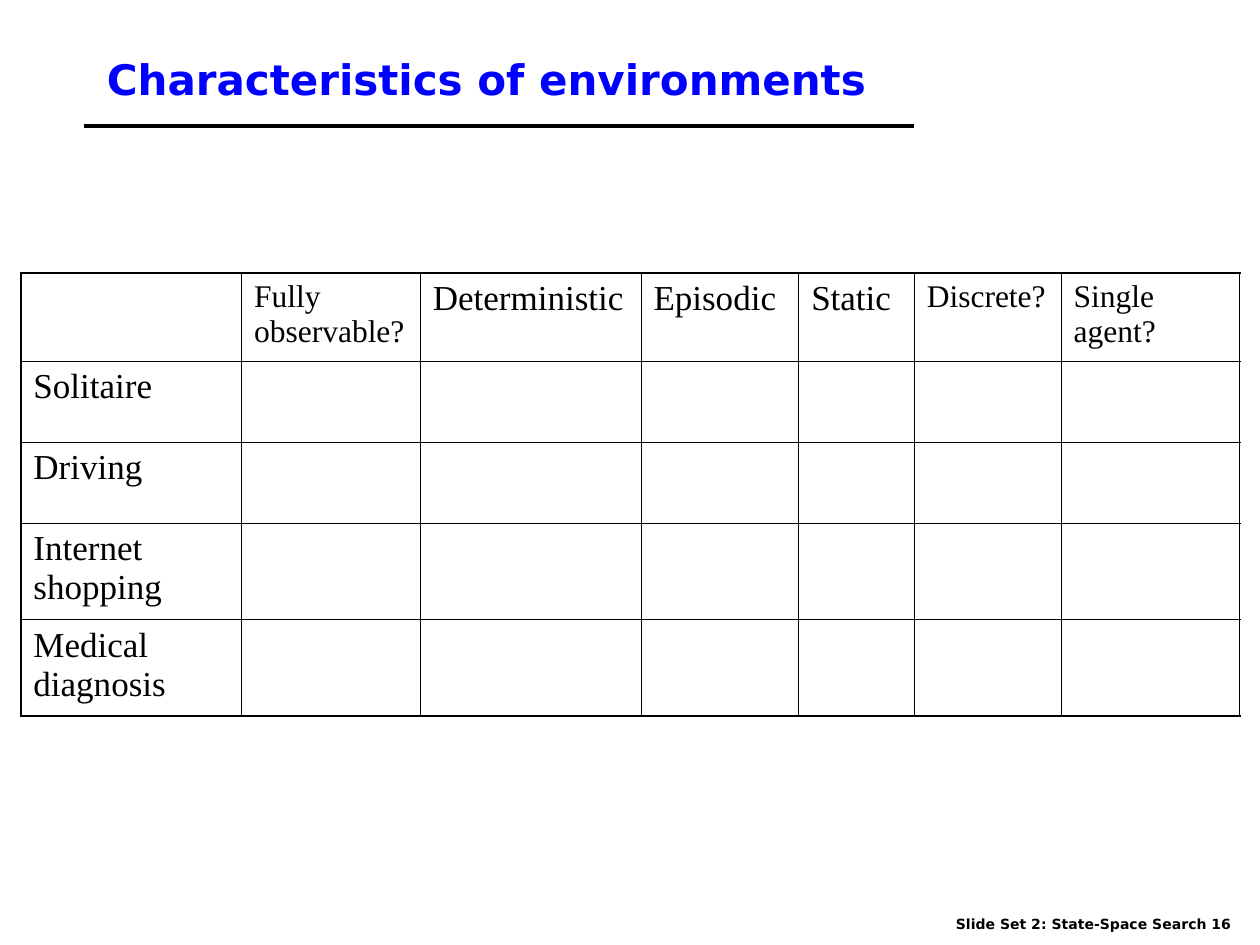
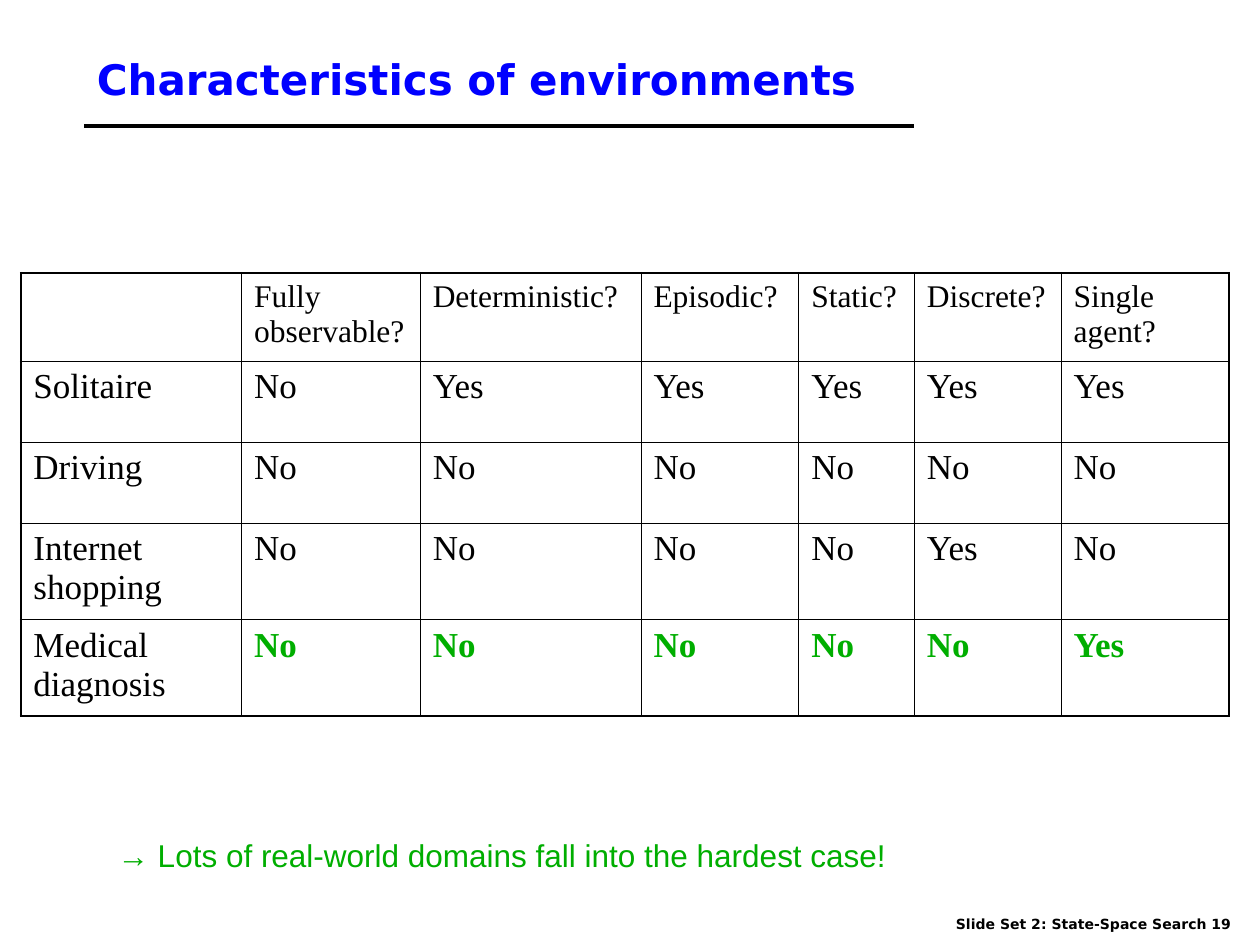
import pptx
import pptx.dml.color
import pptx.enum.shapes
import pptx.enum.text
import pptx.oxml
import pptx.oxml.ns
import pptx.util

Cm = pptx.util.Cm
Pt = pptx.util.Pt

BLACK = pptx.dml.color.RGBColor(0x00, 0x00, 0x00)
BLUE = pptx.dml.color.RGBColor(0x00, 0x00, 0xFF)
GREEN = pptx.dml.color.RGBColor(0x00, 0xAE, 0x00)
WHITE = pptx.dml.color.RGBColor(0xFF, 0xFF, 0xFF)

HEADING_FONT = "DejaVu Sans"
TABLE_FONT = "Times New Roman"
NOTE_FONT = "Arial"

TITLE = "Characteristics of environments"
DOMAINS = ["Solitaire", "Driving", "Internet shopping", "Medical diagnosis"]
COLUMN_WIDTHS = [4.45, 3.6, 4.45, 3.18, 2.33, 2.96]
ROW_HEIGHTS = [1.78, 1.63, 1.63, 1.95, 1.95]
OUTER_LINE = Pt(1.08)
INNER_LINE = Pt(0.45)


class Deck:
    def __init__(self):
        self.prs = pptx.Presentation()
        self.prs.slide_width = Cm(25.4)
        self.prs.slide_height = Cm(19.05)
        self.slide = None

    def add_slide(self, title, title_left, number):
        self.slide = self.prs.slides.add_slide(self.prs.slide_layouts[5])
        fill = self.slide.background.fill
        fill.solid()
        fill.fore_color.rgb = WHITE
        self.title(title, title_left)
        self.rule()
        self.text_box(f"Slide Set 2: State-Space Search {number}",
                      (19.02, 18.34, 6.3, 0.64), HEADING_FONT, 8, BLACK, bold=True, wrap=False)

    def run(self, tf, text, font, size, color, bold=False):
        p = tf.paragraphs[0]
        p.alignment = pptx.enum.text.PP_ALIGN.LEFT
        r = p.add_run()
        r.text = text
        r.font.name = font
        r.font.size = Pt(size)
        r.font.color.rgb = color
        r.font.bold = bold

    def title(self, text, left):
        sp = self.slide.shapes.title
        sp.left, sp.top, sp.width, sp.height = Cm(left), Cm(0.64), Cm(21.59), Cm(1.9)
        tf = sp.text_frame
        tf.auto_size = pptx.enum.text.MSO_AUTO_SIZE.NONE
        tf.vertical_anchor = pptx.enum.text.MSO_ANCHOR.MIDDLE
        self.run(tf, text, HEADING_FONT, 24, BLUE, bold=True)

    def rule(self):
        line = self.slide.shapes.add_connector(
            pptx.enum.shapes.MSO_CONNECTOR.STRAIGHT, Cm(1.7), Cm(2.54), Cm(18.42), Cm(2.54))
        line.line.color.rgb = BLACK
        line.line.width = Pt(2.25)
        sp_pr = line._element.spPr
        sp_pr.append(sp_pr.makeelement(pptx.oxml.ns.qn("a:effectLst"), {}))

    def text_box(self, text, box, font, size, color, bold=False, wrap=True):
        sp = self.slide.shapes.add_textbox(*map(Cm, box))
        tf = sp.text_frame
        tf.word_wrap = wrap
        tf.auto_size = pptx.enum.text.MSO_AUTO_SIZE.SHAPE_TO_FIT_TEXT
        self.run(tf, text, font, size, color, bold)

    def borders(self, cell, widths):
        tc_pr = cell._tc.get_or_add_tcPr()
        for i, (side, width) in enumerate(zip("LRTB", widths)):
            tc_pr.insert(i, pptx.oxml.parse_xml(
                f'<a:ln{side} {pptx.oxml.ns.nsdecls("a")} w="{width}">'
                f'<a:solidFill><a:srgbClr val="{BLACK}"/></a:solidFill></a:ln{side}>'))

    def table(self, rows, last_width, highlight_row=None):
        widths = COLUMN_WIDTHS + [last_width]
        last_row, last_col = len(rows) - 1, len(widths) - 1
        frame = self.slide.shapes.add_table(
            len(rows), len(widths), Cm(0.42), Cm(5.5), Cm(sum(widths)), Cm(sum(ROW_HEIGHTS)))
        table = frame.table
        table.first_row = table.horz_banding = False
        for column, width in zip(table.columns, widths):
            column.width = Cm(width)
        for row, height in zip(table.rows, ROW_HEIGHTS):
            row.height = Cm(height)
        for i, texts in enumerate(rows):
            for j, text in enumerate(texts):
                cell = table.cell(i, j)
                cell.fill.background()
                edges = (j == 0, j == last_col, i == 0, i == last_row)
                self.borders(cell, [OUTER_LINE if edge else INNER_LINE for edge in edges])
                if text:
                    highlighted = i == highlight_row and j > 0
                    size = 18 if text.endswith("?") else 20
                    self.run(cell.text_frame, text, TABLE_FONT, size,
                             GREEN if highlighted else BLACK, highlighted)


def main():
    deck = Deck()

    deck.add_slide(TITLE, 1.9, 16)
    header = ["", "Fully observable?", "Deterministic", "Episodic", "Static",
              "Discrete?", "Single agent?"]
    deck.table([header] + [[domain] + [""] * 6 for domain in DOMAINS], 3.6)

    deck.add_slide(TITLE, 1.7, 19)
    header = ["", "Fully observable?", "Deterministic?", "Episodic?", "Static?",
              "Discrete?", "Single agent?"]
    answers = ["No Yes Yes Yes Yes Yes", "No No No No No No",
               "No No No No Yes No", "No No No No No Yes"]
    rows = [[domain] + answer.split() for domain, answer in zip(DOMAINS, answers)]
    deck.table([header] + rows, 3.39, highlight_row=4)
    deck.text_box("→ Lots of real-world domains fall into the hardest case!",
                  (2.12, 16.72, 21.38, 1.02), NOTE_FONT, 18, GREEN)

    deck.prs.save("out.pptx")


if __name__ == "__main__":
    main()
